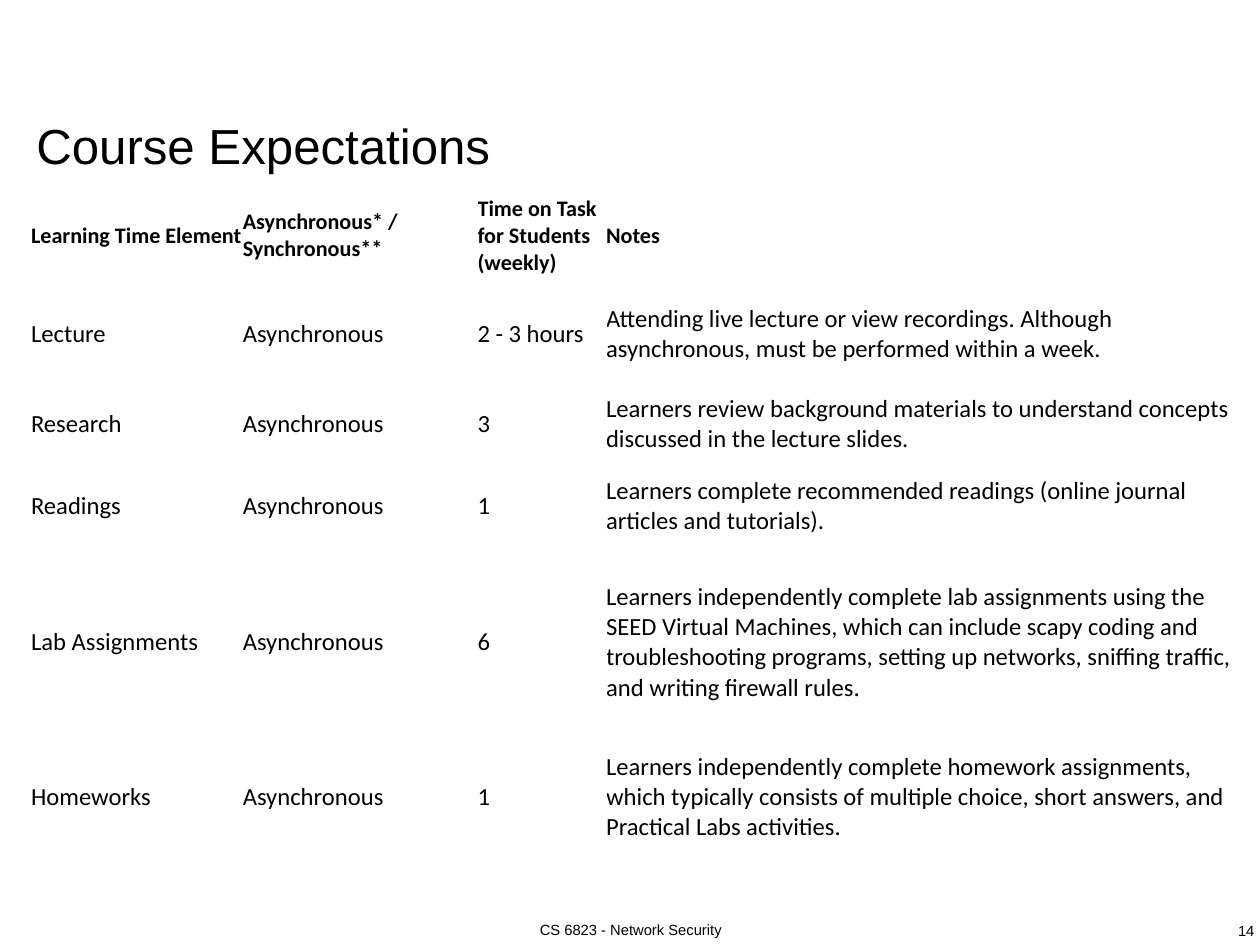
from pptx import Presentation
from pptx.dml.color import RGBColor
from pptx.enum.text import MSO_ANCHOR as Anchor, PP_ALIGN as Align
from pptx.util import Inches, Pt

BLACK = RGBColor(0, 0, 0)

expectations = [
    ("Learning Time Element", "Asynchronous* / Synchronous**",
     "Time on Task for Students (weekly)", "Notes"),
    ("Lecture", "Asynchronous", "2 - 3 hours",
     "Attending live lecture or view recordings. Although asynchronous, "
     "must be performed within a week."),
    ("Research", "Asynchronous", "3",
     "Learners review background materials to understand concepts "
     "discussed in the lecture slides."),
    ("Readings", "Asynchronous", "1",
     "Learners complete recommended readings (online journal articles "
     "and tutorials)."),
    ("Lab Assignments", "Asynchronous", "6",
     "Learners independently complete lab assignments using the SEED "
     "Virtual Machines, which can include scapy coding and troubleshooting "
     "programs, setting up networks, sniffing traffic, and writing firewall rules."),
    ("Homeworks", "Asynchronous", "1",
     "Learners independently complete homework assignments, which typically "
     "consists of multiple choice, short answers, and Practical Labs activities."),
]
column_widths = [2.39, 2.65, 1.45, 7.06]
row_heights = [1.12, 1.1, 0.94, 0.91, 2.17, 1.33]


def set_margins(target, inches):
    for side in ("left", "top", "right", "bottom"):
        setattr(target, f"margin_{side}", Inches(inches))


def write(frame, text, align, **font_format):
    frame.text = text
    paragraph = frame.paragraphs[0]
    paragraph.alignment = align
    font = paragraph.runs[0].font
    font.color.rgb = BLACK
    for attribute, value in font_format.items():
        setattr(font, attribute, value)


deck = Presentation()
deck.slide_width, deck.slide_height = Inches(14.22), Inches(10.67)
slide = deck.slides.add_slide(deck.slide_layouts[5])

heading = slide.shapes.title
heading.left, heading.top = Inches(0.35), Inches(0.99)
heading.width, heading.height = Inches(13.54), Inches(1.04)
heading.text_frame.vertical_anchor = Anchor.BOTTOM
set_margins(heading.text_frame, 0.06)
write(heading.text_frame, "Course Expectations", Align.LEFT, name="Arial", size=Pt(40))

for text, left, top, width, wraps in [
    ("CS 6823 - Network Security", 6.08, 10.34, 2.08, True),
    ("14", 13.92, 10.35, 0.29, False),
]:
    footer = slide.shapes.add_textbox(
        Inches(left), Inches(top), Inches(width), Inches(0.31)).text_frame
    footer.word_wrap = wraps
    footer.vertical_anchor = Anchor.MIDDLE
    set_margins(footer, 0)
    write(footer, text, Align.CENTER, name="Arial", size=Pt(12))

schedule = slide.shapes.add_table(
    len(row_heights), len(column_widths),
    Inches(0.35), Inches(2.1), Inches(13.54), Inches(7.57)).table
schedule.first_row = schedule.horz_banding = False
for column, width in zip(schedule.columns, column_widths):
    column.width = Inches(width)

for row_index, (row, height, entries) in enumerate(
        zip(schedule.rows, row_heights, expectations)):
    row.height = Inches(height)
    is_header = row_index == 0
    for cell, entry in zip(row.cells, entries):
        cell.fill.background()
        cell.vertical_anchor = Anchor.MIDDLE
        set_margins(cell, 0)
        write(cell.text_frame, entry, Align.LEFT, name="Calibri",
              size=Pt(18 if is_header else 20), bold=is_header)

deck.save("out.pptx")
